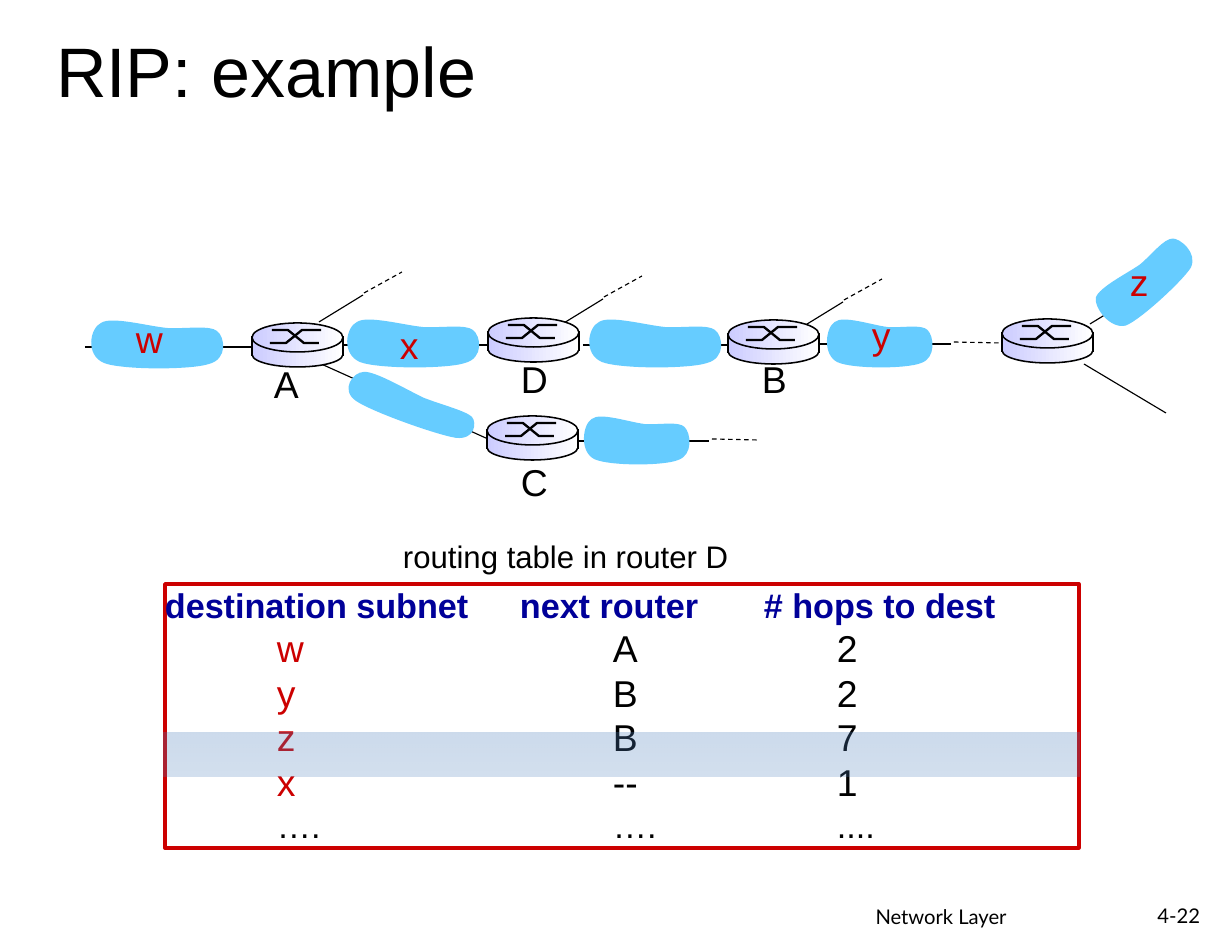
import math
import lxml.etree
import pptx
import pptx.dml.color
import pptx.enum.dml
import pptx.enum.shapes
import pptx.enum.text
import pptx.oxml.ns
import pptx.util

HUES = {
    "ink": "000000", "red": "CC0000", "navy": "000099", "cloud": "66CCFF",
    "lilac": "CCCCFF", "white": "FFFFFF", "band": "4F81BD",
}
ALIGN = pptx.enum.text.PP_ALIGN
SHAPE = pptx.enum.shapes.MSO_SHAPE
BLOB = [
    (82, 12), (62, 10), (26, 0), (16, 7), (5, 12), (0, 39), (19, 47), (37, 54),
    (106, 54), (124, 48), (143, 43), (140, 21), (132, 15), (125, 9), (101, 13), (82, 12),
]
SLANT = [
    (424, 398), (407, 390), (375, 371), (364, 372), (353, 372), (340, 390), (356, 401), (372, 412),
    (437, 435), (456, 438), (475, 440), (477, 423), (472, 417), (466, 411), (442, 405), (424, 398),
]
RISE = [
    (1140, 265), (1127, 274), (1099, 288), (1096, 298), (1094, 308), (1110, 330), (1126, 326), (1141, 320),
    (1183, 281), (1191, 268), (1198, 253), (1180, 239), (1173, 239), (1164, 239), (1152, 255), (1140, 265),
]
BLOBS = [(85, 316, 1), (341, 315, 1), (583, 315, 1), (822, 315, 0.8), (579, 412, 0.8)]
THICK = [(341, 345, 508, 345), (583, 345, 750, 345), (85, 347, 253, 347)]
THIN = [
    (819, 344, 951, 344), (1090, 324, 1172, 274), (1084, 364, 1166, 413),
    (319, 363, 488, 439), (577, 441, 709, 441),
]
DASHED = [(954, 342, 1001, 343), (712, 439, 758, 440)]
SPOKES = [(319, 322), (559, 326), (799, 329)]
NODES = [(488, 318), (728, 320), (1002, 319), (487, 416), (252, 323)]
LABELS = [
    ("w", 124, 310, 53, "red"), ("x", 388, 316, 44, "red"),
    ("y", 860, 306, 44, "red"), ("z", 1118, 253, 44, "red"),
    ("A", 262, 355, 50, "ink"), ("C", 509, 453, 53, "ink"),
    ("D", 509, 350, 53, "ink"), ("B", 750, 350, 50, "ink"),
]
ROWS = [
    ("destination subnet", "next router", "# hops to dest"),
    ("w", "A", "2"), ("y", "B", "2"), ("z", "B", "7"), ("x", "--", "1"),
    ("….", "….", "...."),
]


def px(n):
    return round(n * 914400 / 112)


def hue(name):
    return pptx.dml.color.RGBColor.from_string(HUES[name])


def tag(name):
    return pptx.oxml.ns.qn("a:" + name)


def apply(item, form):
    for key, value in form.items():
        setattr(item, key, value)


def pad(frame, wide, high):
    apply(frame, {
        "margin_left": px(wide), "margin_right": px(wide),
        "margin_top": px(high), "margin_bottom": px(high),
    })


def add_run(para, text, size, ink, face="Arial", bold=False):
    run = para.add_run()
    run.text = text
    apply(run.font, {"size": pptx.util.Pt(size), "name": face, "bold": bold})
    run.font.color.rgb = hue(ink)


def label(slide, text, box, size, ink="ink", wrap=False, align=ALIGN.LEFT, face="Arial"):
    frame = slide.shapes.add_textbox(*map(px, box)).text_frame
    frame.word_wrap = wrap
    pad(frame, 12, 6)
    frame.paragraphs[0].alignment = align
    add_run(frame.paragraphs[0], text, size, ink, face)


def stroke(item, width, ink="ink"):
    item.line.color.rgb = hue(ink)
    item.line.width = pptx.util.Pt(width)


def link(shapes, ends, width=0.75, dash=False):
    kind = pptx.enum.shapes.MSO_CONNECTOR.STRAIGHT
    line = shapes.add_connector(kind, *map(px, ends))
    stroke(line, width)
    if dash:
        line.line.dash_style = pptx.enum.dml.MSO_LINE.DASH
    lxml.etree.SubElement(line._element.spPr, tag("effectLst"))


def trace(shapes, points, close):
    spots = [(px(x), px(y)) for x, y in points]
    pen = shapes.build_freeform(*spots[0], scale=1.0)
    pen.add_line_segments(spots[1:], close=close)
    shape = pen.convert_to_shape()
    shape.shadow.inherit = False
    return shape


def bend(shape):
    legs = list(shape._element.spPr.iter(tag("lnTo")))
    for start in range(0, len(legs) - 2, 3):
        trio = legs[start:start + 3]
        curve = lxml.etree.Element(tag("cubicBezTo"))
        trio[0].addprevious(curve)
        for leg in trio:
            curve.append(leg[0])
            leg.getparent().remove(leg)


def spin(points, turn, hub):
    cos, sin = math.cos(math.radians(turn)), math.sin(math.radians(turn))
    gaps = [(x - hub[0], y - hub[1]) for x, y in points]
    return [(hub[0] + x * cos - y * sin, hub[1] + x * sin + y * cos) for x, y in gaps]


def cloud(slide, points, turn=0, hub=(0, 0)):
    shape = trace(slide.shapes, spin(points, -turn, hub), True)
    bend(shape)
    shape.rotation = turn
    shape.fill.solid()
    shape.fill.fore_color.rgb = hue("cloud")
    shape.line.fill.background()


def blend(shapes, kind, box, hues, angle=0, alphas=()):
    shape = shapes.add_shape(kind, *map(px, box))
    shape.shadow.inherit = False
    shape.fill.gradient()
    shape.fill.gradient_angle = angle
    for stop, name in zip(shape.fill.gradient_stops, hues):
        stop.color.rgb = hue(name)
    tints = shape._element.spPr.iter(tag("srgbClr"))
    for tint, alpha in zip(list(tints), alphas):
        lxml.etree.SubElement(tint, tag("alpha"), val=str(alpha * 1000))
    shape.line.fill.background()
    return shape


def router(slide, x, y):
    shapes = slide.shapes.add_group_shape().shapes
    for kind, drop, high in ((SHAPE.OVAL, 19, 25), (SHAPE.RECTANGLE, 16, 16), (SHAPE.OVAL, 0, 29)):
        part = blend(shapes, kind, (x, y + drop, 91, high), ("lilac", "white"))
        if kind == SHAPE.OVAL:
            stroke(part, 1)
    for left, right, first, last in ((18, 69, 20, 7), (20, 67, 7, 20)):
        bends = [(left, first), (left + 16, first), (left + 32, last), (right, last)]
        mark = trace(shapes, [(x + a, y + b) for a, b in bends], False)
        mark.fill.background()
        stroke(mark, 1.5)
    for side in (x, x + 91):
        link(shapes, (side, y + 13, side, y + 33), 1)


def set_tabs(para, stops):
    tabs = lxml.etree.SubElement(para._p.get_or_add_pPr(), tag("tabLst"))
    for stop in stops:
        lxml.etree.SubElement(tabs, tag("tab"), pos=str(px(stop)), algn="l")


def routes(slide):
    box = slide.shapes.add_shape(SHAPE.RECTANGLE, *map(px, (165, 584, 914, 264)))
    box.shadow.inherit = False
    box.fill.background()
    stroke(box, 2.25, "red")
    frame = box.text_frame
    apply(frame, {"word_wrap": True, "vertical_anchor": pptx.enum.text.MSO_ANCHOR.TOP})
    pad(frame, 0, 0)
    last = len(ROWS) - 1
    for r, (dest, hop, count) in enumerate(ROWS):
        para = frame.add_paragraph() if r else frame.paragraphs[0]
        para.alignment = ALIGN.LEFT
        set_tabs(para, (112, 448, 672) if r else (355, 599))
        tail = f"\t{hop}\t{count}"
        if r == 0:
            add_run(para, dest + tail, 22, "navy", bold=True)
        elif r == last:
            add_run(para, "\t" + dest + tail, 22, "ink")
        else:
            add_run(para, "\t" + dest, 24, "red")
            add_run(para, tail, 24, "ink")


def title(slide):
    head = slide.shapes.title
    spots = map(px, (56, 27, 531, 85))
    apply(head, dict(zip(("left", "top", "width", "height"), spots)))
    frame = head.text_frame
    frame.auto_size = pptx.enum.text.MSO_AUTO_SIZE.NONE
    pad(frame, 0, 0)
    frame.paragraphs[0].alignment = ALIGN.LEFT
    add_run(frame.paragraphs[0], "RIP: example", 45, "ink")


def network(slide):
    for ends in THICK:
        link(slide.shapes, ends, 1)
    for ends in THIN:
        link(slide.shapes, ends)
    for ends in DASHED:
        link(slide.shapes, ends, dash=True)
    for x, y in SPOKES:
        spoke = slide.shapes.add_group_shape().shapes
        link(spoke, (x, y, x + 44, y - 27))
        link(spoke, (x + 45, y - 29, x + 83, y - 50), dash=True)
    for x, y, scale in BLOBS:
        cloud(slide, [(x + a * scale, y + b) for a, b in BLOB])
    cloud(slide, SLANT, 19.7, (411, 405))
    cloud(slide, RISE, 316.8, (1145, 281))
    for x, y in NODES:
        router(slide, x, y)
    for text, x, y, wide, ink in LABELS:
        label(slide, text, (x, y, wide, 58), 24, ink)


def main():
    deck = pptx.Presentation()
    apply(deck, {"slide_width": px(1232), "slide_height": px(952)})
    slide = deck.slides.add_slide(deck.slide_layouts[5])
    title(slide)
    network(slide)
    label(slide, "routing table in router D", (391, 531, 353, 50), 20)
    routes(slide)
    blend(slide.shapes, SHAPE.RECTANGLE, (164, 733, 916, 44), ("band", "band"), 270, (29, 25))
    label(slide, "Network Layer", (746, 898, 390, 40), 13, wrap=True, align=ALIGN.CENTER, face="Lato")
    label(slide, "4-22", (1121, 897, 91, 38), 13, wrap=True, align=ALIGN.RIGHT, face="Lato")
    deck.save("out.pptx")


if __name__ == "__main__":
    main()
